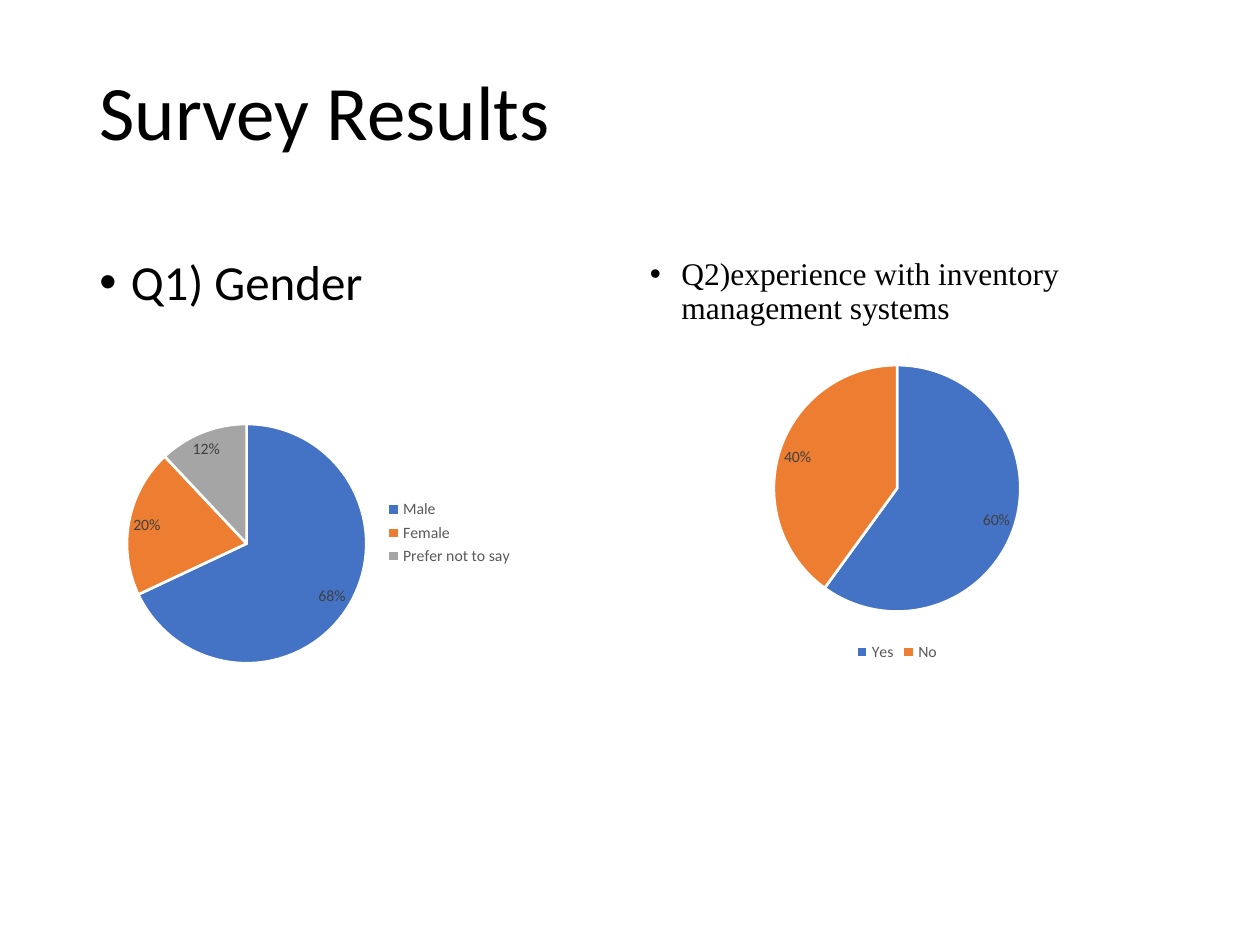
"""Build a survey results slide with two questions, each answered by a pie chart."""
from lxml.etree import SubElement
from pptx import Presentation
from pptx.chart.data import CategoryChartData
from pptx.dml.color import RGBColor
from pptx.enum.chart import XL_CHART_TYPE as ChartType
from pptx.enum.chart import XL_LABEL_POSITION as LabelPosition
from pptx.enum.chart import XL_LEGEND_POSITION as LegendPosition
from pptx.enum.text import MSO_ANCHOR as Anchor
from pptx.oxml.ns import qn
from pptx.util import Inches, Pt

BLACK = RGBColor(0x00, 0x00, 0x00)
WHITE = RGBColor(0xFF, 0xFF, 0xFF)
LABEL_GRAY = RGBColor(0x40, 0x40, 0x40)
LEGEND_GRAY = RGBColor(0x59, 0x59, 0x59)
SLICE_COLORS = (
    RGBColor(0x44, 0x72, 0xC4),
    RGBColor(0xED, 0x7D, 0x31),
    RGBColor(0xA5, 0xA5, 0xA5),
)
BODY_FONT = "Calibri"
SERIF_FONT = "Times New Roman"


def style_font(font, size, color, name=BODY_FONT):
    font.name = name
    font.size = Pt(size)
    font.color.rgb = color


def add_bullet(paragraph):
    properties = paragraph._p.get_or_add_pPr()
    properties.set("marL", str(Inches(0.25)))
    properties.set("indent", str(Inches(-0.25)))
    SubElement(properties, qn("a:buFont")).set("typeface", "Arial")
    SubElement(properties, qn("a:buChar")).set("char", "•")


def add_text(slide, text, box, size, font_name=BODY_FONT, anchor=Anchor.TOP, bullet=False):
    frame = slide.shapes.add_textbox(*map(Inches, box)).text_frame
    frame.word_wrap = True
    frame.vertical_anchor = anchor
    paragraph = frame.paragraphs[0]
    paragraph.text = text
    if bullet:
        add_bullet(paragraph)
    paragraph.line_spacing = 0.9
    style_font(paragraph.font, size, BLACK, font_name)


def add_pie(slide, shares, box, legend_position):
    answers = CategoryChartData(number_format="0%")
    answers.categories = list(shares)
    answers.add_series("Series 1", list(shares.values()))
    chart = slide.shapes.add_chart(ChartType.PIE, *map(Inches, box), answers).chart
    style_font(chart.font, 10, BLACK)
    chart.has_title = False
    chart.has_legend = True
    chart.legend.position = legend_position
    chart.legend.include_in_layout = False
    style_font(chart.legend.font, 9, LEGEND_GRAY)

    plot = chart.plots[0]
    plot.vary_by_categories = True
    for index, color in enumerate(SLICE_COLORS[:len(shares)]):
        slice_format = plot.series[0].points[index].format
        slice_format.fill.solid()
        slice_format.fill.fore_color.rgb = color
        slice_format.line.color.rgb = WHITE
        slice_format.line.width = Pt(1.5)

    labels = plot.series[0].data_labels
    labels.show_value = True
    labels.number_format = "0%"
    labels.number_format_is_linked = False
    labels.position = LabelPosition.BEST_FIT
    style_font(labels.font, 9, LABEL_GRAY)


def main():
    presentation = Presentation()
    presentation.slide_width = Inches(10)
    presentation.slide_height = Inches(7.5)
    slide = presentation.slides.add_slide(presentation.slide_layouts[6])

    add_text(slide, "Survey Results", (0.69, 0.4, 8.62, 1.04), 44, anchor=Anchor.MIDDLE)
    add_text(slide, "Q1) Gender", (0.69, 2, 4.25, 4.76), 28, bullet=True)
    add_text(slide, "Q2)experience with inventory management systems",
             (5.06, 2, 4.25, 4.76), 18, SERIF_FONT, bullet=True)

    add_pie(slide, {"Male": 0.68, "Female": 0.2, "Prefer not to say": 0.12},
            (0.87, 2.48, 3.3, 3.5), LegendPosition.RIGHT)
    add_pie(slide, {"Yes": 0.6, "No": 0.4},
            (5.87, 2.76, 2.5, 2.53), LegendPosition.BOTTOM)

    presentation.save("out.pptx")


if __name__ == "__main__":
    main()
